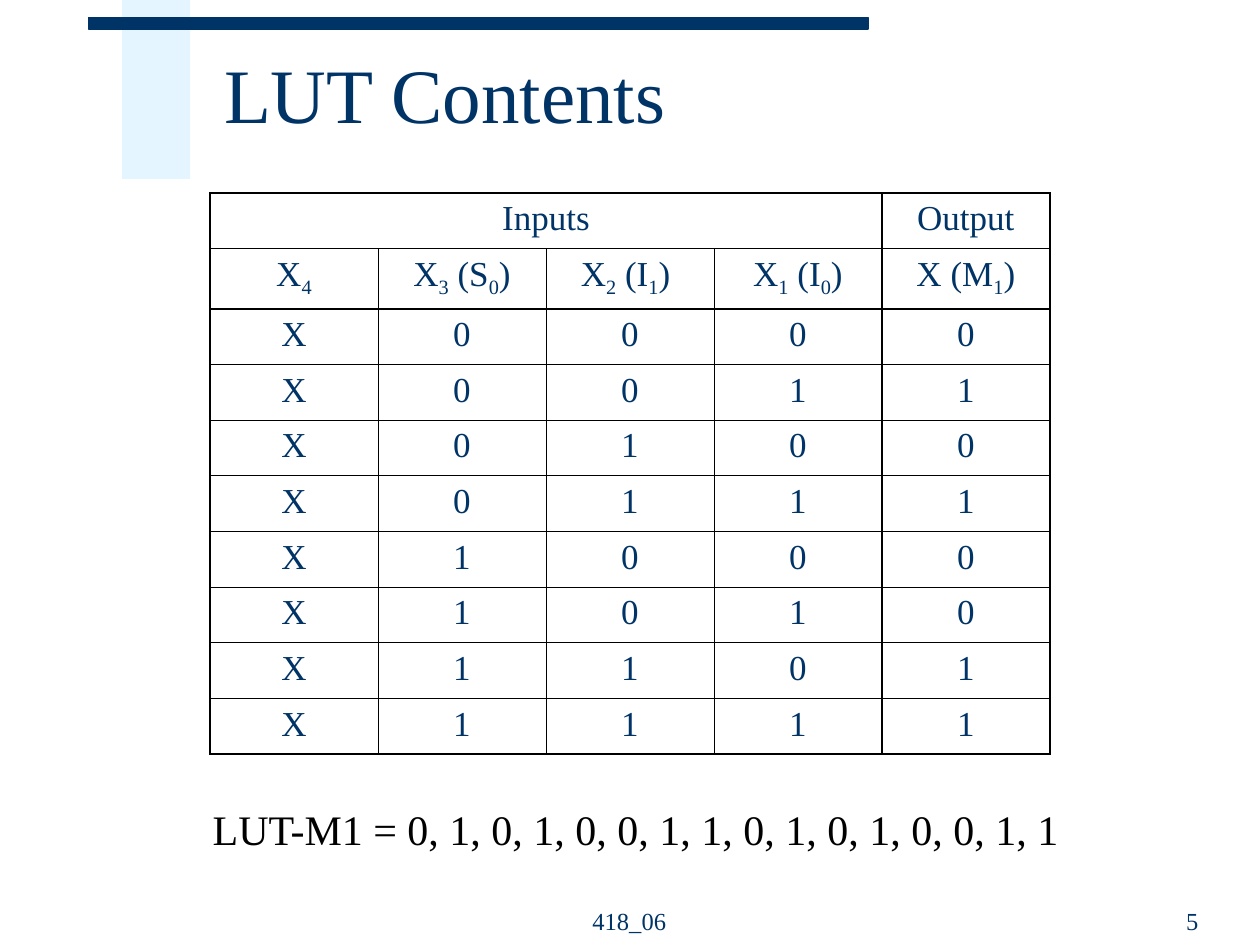
from dataclasses import dataclass
from itertools import product

from lxml.etree import SubElement
from pptx import Presentation
from pptx.dml.color import RGBColor
from pptx.enum.shapes import MSO_SHAPE
from pptx.enum.text import MSO_ANCHOR, MSO_AUTO_SIZE, PP_ALIGN
from pptx.oxml import parse_xml
from pptx.oxml.ns import nsdecls, qn
from pptx.util import Inches, Pt


@dataclass(frozen=True)
class Theme:
    font: str = "Times New Roman"
    navy: str = "003366"
    pale: str = "CCECFF"
    black: str = "000000"
    title: int = 44
    sum: int = 24
    cell: int = 20
    foot: int = 14
    thin: float = 0.45
    bold: float = 1.08


THEME = Theme()
WIDE, HIGH = 10, 7.5
HEADS = ["X{4}", "X{3} (S{0})", "X{2} (I{1}) ", "X{1} (I{0})", "X (M{1})"]
OUTS = "01010011"


def write(frame, text, size=THEME.cell, color=THEME.navy, align=PP_ALIGN.LEFT, space=None):
    para = frame.paragraphs[0]
    para.alignment = align
    if space:
        para.line_spacing = space
    for i, part in enumerate(text.replace("}", "{").split("{")):
        if not part:
            continue
        run = para.add_run()
        run.text = part
        run.font.name = THEME.font
        run.font.size = Pt(size)
        run.font.color.rgb = RGBColor.from_string(color)
        if i % 2:
            run._r.get_or_add_rPr().set("baseline", "-25000")


def label(slide, box, text, anchor=MSO_ANCHOR.TOP, wrap=True, **form):
    frame = slide.shapes.add_textbox(*map(Inches, box)).text_frame
    frame.word_wrap = wrap
    frame.vertical_anchor = anchor
    if not wrap:
        frame.auto_size = MSO_AUTO_SIZE.SHAPE_TO_FIT_TEXT
    write(frame, text, **form)


def block(slide, box, color, alpha=None):
    shape = slide.shapes.add_shape(MSO_SHAPE.RECTANGLE, *map(Inches, box))
    shape.shadow.inherit = False
    shape.fill.solid()
    shape.fill.fore_color.rgb = RGBColor.from_string(color)
    if alpha:
        tone = shape._element.spPr.find(qn("a:solidFill"))[0]
        SubElement(tone, qn("a:alpha"), val=str(alpha * 1000))
        shape.line.fill.background()
    else:
        shape.line.color.rgb = RGBColor.from_string(color)
        shape.line.width = Pt(0.75)


def header(slide, box):
    left, top, width, height = box
    block(slide, (left + 0.27, top, 0.54, height), THEME.pale, alpha=50)
    block(slide, (left, top + 0.14, 6.19, 0.09), THEME.navy)
    label(slide, (left + 0.98, top + 0.17, width - 0.98, height - 0.17), "LUT Contents",
          anchor=MSO_ANCHOR.MIDDLE, size=THEME.title, space=0.85)


def border(cell, side, width):
    cell._tc.get_or_add_tcPr().append(parse_xml(
        f'<a:ln{side} {nsdecls("a")} w="{Pt(width)}"><a:solidFill>'
        f'<a:srgbClr val="{THEME.black}"/></a:solidFill></a:ln{side}>'))


def table(slide, box):
    bits = product("01", repeat=3)
    rows = [["Inputs", "", "", "", "Output"], HEADS]
    rows += [["X", *bit, out] for bit, out in zip(bits, OUTS)]
    count, cols = len(rows), len(HEADS)
    grid = slide.shapes.add_table(count, cols, *map(Inches, box)).table
    grid.first_row = grid.horz_banding = False
    left, top, width, height = box
    for col in grid.columns:
        col.width = Inches(width / cols)
    for row in grid.rows:
        row.height = Inches((height - 0.02) / count)
    grid.rows[1].height += Inches(0.02)
    grid.cell(0, 0).merge(grid.cell(0, cols - 2))
    for r, row in enumerate(rows):
        for c, text in enumerate(row):
            cell = grid.cell(r, c)
            end = c + (cell.span_width if cell.is_merge_origin else 1)
            for side, edge, heavy in (("L", c, (0, cols - 1, cols)),
                                      ("R", end, (0, cols - 1, cols)),
                                      ("T", r, (0, 2, count)),
                                      ("B", r + 1, (0, 2, count))):
                border(cell, side, THEME.bold if edge in heavy else THEME.thin)
            cell.fill.background()
            if text:
                write(cell.text_frame, text, align=PP_ALIGN.CENTER)


def footer(slide, box):
    left, top, width, height = box
    form = dict(anchor=MSO_ANCHOR.BOTTOM, size=THEME.foot)
    label(slide, (left, top, 1.83, height), "418_06", align=PP_ALIGN.CENTER, **form)
    label(slide, (left + width - 2.4, top, 2.4, height), "5", align=PP_ALIGN.RIGHT, **form)


def main():
    deck = Presentation()
    deck.slide_width, deck.slide_height = Inches(WIDE), Inches(HIGH)
    slide = deck.slides.add_slide(deck.slide_layouts[6])
    header(slide, (0.7, 0, 9.05, 1.42))
    table(slide, (WIDE / 6, 1.53, WIDE * 2 / 3, 4.44))
    label(slide, (1.59, 6.33, 6.94, 0.5), "LUT-M1 = " + ", ".join(OUTS * 2),
          wrap=False, size=THEME.sum, color=THEME.black)
    footer(slide, (4.08, 6.97, 5.53, 0.5))
    deck.save("out.pptx")


if __name__ == "__main__":
    main()
